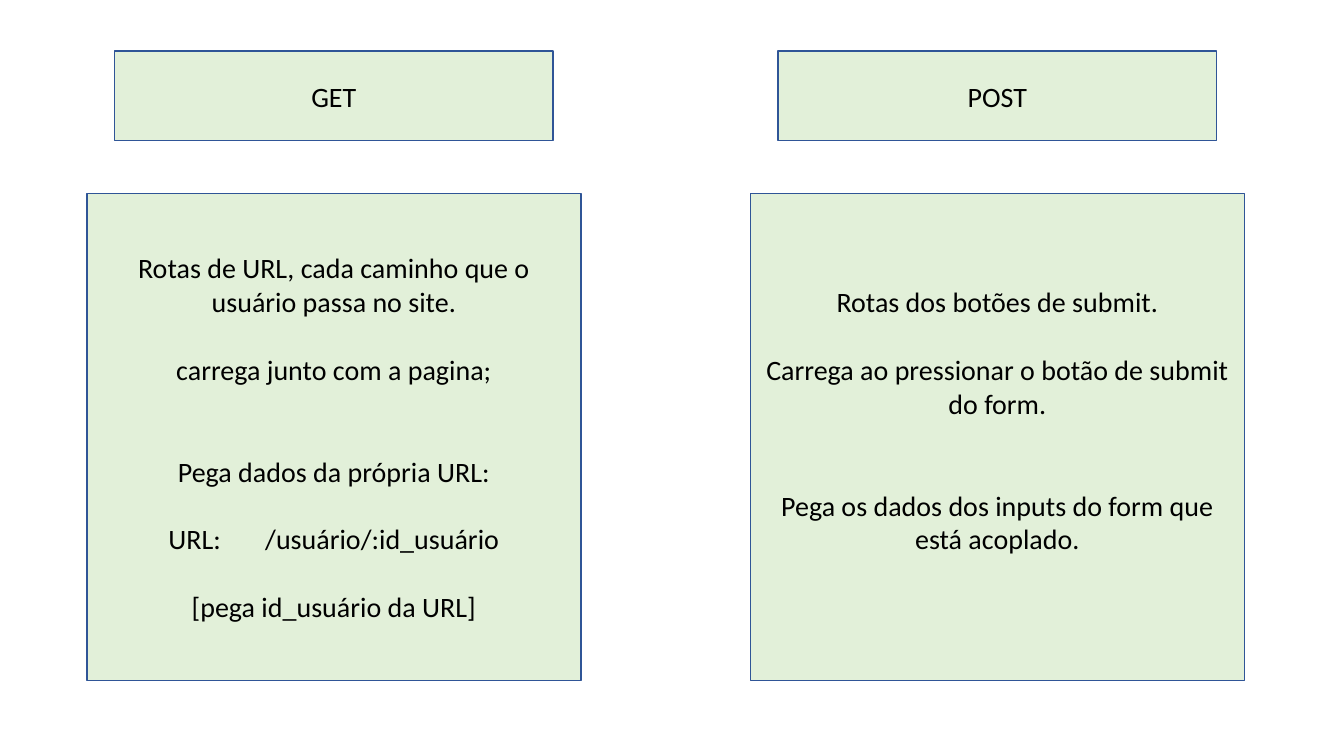
"""Builds a slide that compares GET and POST routes."""
from pptx import Presentation
from pptx.dml.color import RGBColor
from pptx.enum.shapes import MSO_SHAPE
from pptx.enum.text import MSO_ANCHOR, PP_ALIGN
from pptx.util import Cm, Pt

PALE_GREEN = RGBColor(0xE2, 0xF0, 0xD9)
BLUE = RGBColor(0x2F, 0x55, 0x97)
BLACK = RGBColor(0, 0, 0)

LINE_HEIGHT = 24.4
COLUMN_LEFT, COLUMN_PITCH = 2.19, 16.72
BODY_WIDTH, HEADER_WIDTH = 12.45, 11.05
WIDE_SPACE = "2700"

COLUMNS = [
    ("GET", 0.13, [
        (0, ["Rotas de URL, cada caminho que o usuário passa no site."]),
        (1, ["carrega junto com a pagina;"]),
        (2, ["Pega dados da própria URL:"]),
        (1, ["URL:", " ", "/usuário/:id_usuário"]),
        (1, ["[pega id_usuário da URL]"]),
    ]),
    ("POST", 0.99, [
        (0, ["Rotas dos botões de submit."]),
        (1, ["Carrega ao pressionar o botão de submit do form."]),
        (2, ["Pega os dados dos inputs do form que está acoplado."]),
    ]),
]


def add_run(p, text):
    """Add a run in the slide's font, widening a lone space."""
    r = p.add_run()
    r.text = text
    r.font.name = "Calibri"
    r.font.size = Pt(20)
    r.font.color.rgb = BLACK
    if text == " ":
        r._r.get_or_add_rPr().set("spc", WIDE_SPACE)


def add_box(slide, left, top, width, height, paragraphs, bottom_margin=0.13):
    """Add a green box with centred paragraphs, each given as (gap lines, runs)."""
    sp = slide.shapes.add_shape(
        MSO_SHAPE.RECTANGLE, Cm(left), Cm(top), Cm(width), Cm(height))
    sp.shadow.inherit = False
    sp.fill.solid()
    sp.fill.fore_color.rgb = PALE_GREEN
    sp.line.color.rgb = BLUE
    sp.line.width = Pt(1)
    tf = sp.text_frame
    tf.word_wrap = True
    tf.vertical_anchor = MSO_ANCHOR.MIDDLE
    tf.margin_bottom = Cm(bottom_margin)
    for i, (gap, runs) in enumerate(paragraphs):
        p = tf.add_paragraph() if i else tf.paragraphs[0]
        p.alignment = PP_ALIGN.CENTER
        p.space_before = Pt(gap * LINE_HEIGHT)
        for text in runs:
            add_run(p, text)


def main():
    """Build and save the slide."""
    prs = Presentation()
    prs.slide_width, prs.slide_height = Cm(33.87), Cm(19.05)
    slide = prs.slides.add_slide(prs.slide_layouts[6])
    for i, (method, bottom_margin, paragraphs) in enumerate(COLUMNS):
        left = COLUMN_LEFT + i * COLUMN_PITCH
        header_left = left + (BODY_WIDTH - HEADER_WIDTH) / 2
        add_box(slide, header_left, 1.29, HEADER_WIDTH, 2.26, [(0, [method])])
        add_box(slide, left, 4.88, BODY_WIDTH, 12.27, paragraphs, bottom_margin)
    prs.save("out.pptx")


if __name__ == "__main__":
    main()
